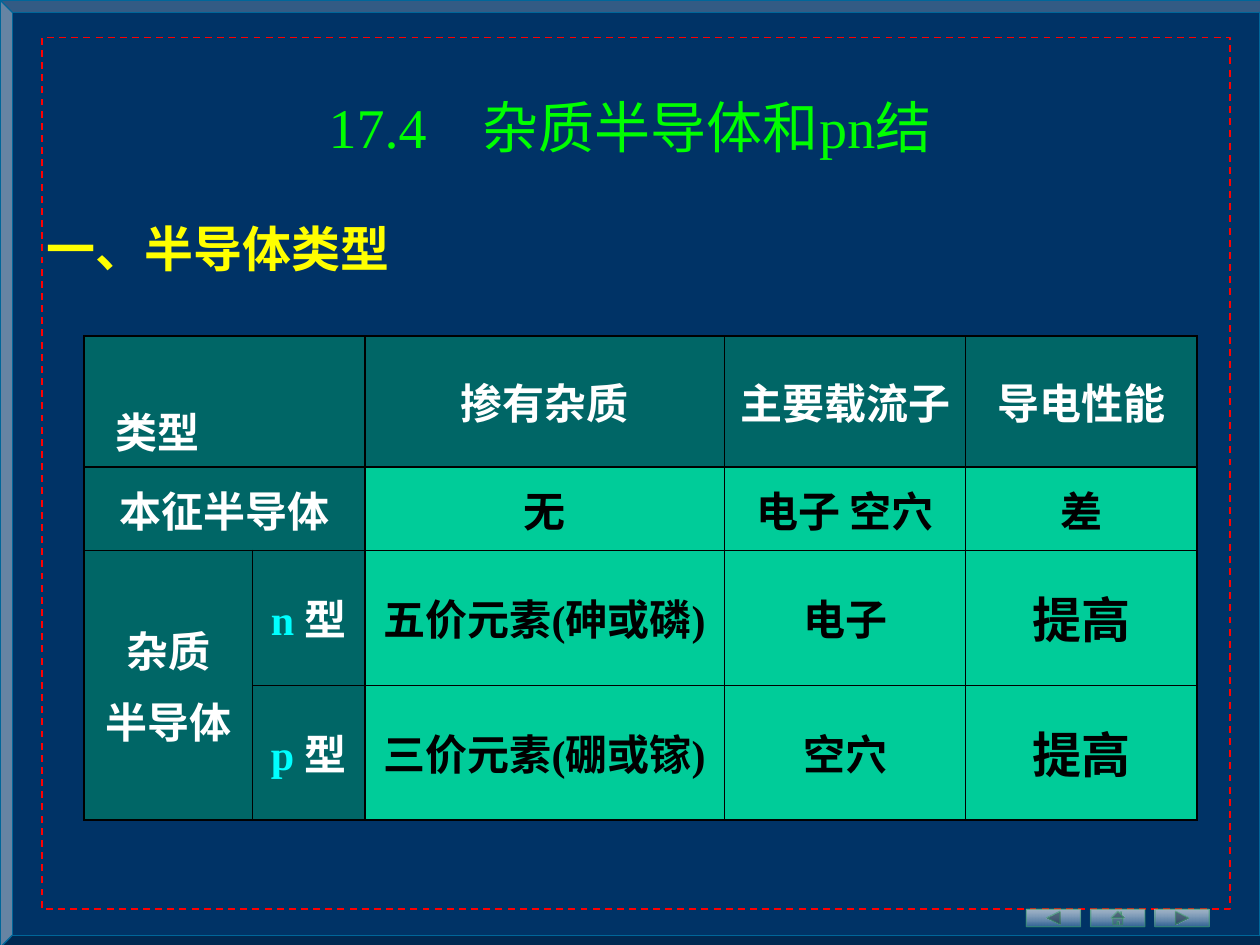
from lxml.etree import SubElement
from pptx import Presentation
from pptx.dml.color import RGBColor
from pptx.enum.dml import MSO_LINE
from pptx.enum.shapes import MSO_SHAPE
from pptx.enum.text import MSO_ANCHOR, MSO_AUTO_SIZE, PP_ALIGN
from pptx.oxml.ns import qn
from pptx.util import Pt

LATIN, CHINESE = "Times New Roman", "Noto Sans CJK SC"
NO_STYLE = "{2D5ABB26-0587-4C30-8999-92F81FD0307C}"
COLUMN_WIDTHS = [96.5, 64, 205.5, 138, 132]
ROW_HEIGHTS = [75, 47.5, 77, 77]
VERTICAL_LINES = [1.08, 0.45, 1.08, 0.75, 0.75, 1.08]
HORIZONTAL_LINES = [1.08, 1.08, 0.75, 0.45, 1.08]
MERGES = [((0, 0), (0, 1)), ((1, 0), (1, 1)), ((2, 0), (3, 0))]
ROWS = [
    ["类型", "", "掺有杂质", "主要载流子", "导电性能"],
    ["本征半导体", "", "无", "电子 空穴", "差"],
    ["杂质\n半导体", "n 型", "五价元素(砷或磷)", "电子", "提高"],
    ["", "p 型", "三价元素(硼或镓)", "空穴", "提高"],
]


def color(value):
    """Turn a hex string into a colour."""
    return RGBColor.from_string(value)


def points(*lengths):
    """Turn numbers into lengths in points."""
    return [Pt(length) for length in lengths]


def format_run(run, size, hex_color, bold=False):
    """Set the fonts, size, colour and weight of a run."""
    run.font.size = Pt(size)
    run.font.bold = bold
    run.font.color.rgb = color(hex_color)
    run.font.name = LATIN
    SubElement(run.font._element, qn("a:ea"), typeface=CHINESE)


def add_frame(slide, box, kind, fill, line, width):
    """Add a filled or hollow outline shape."""
    shape = slide.shapes.add_shape(kind, *points(*box))
    shape.shadow.inherit = False
    if fill:
        shape.fill.solid()
        shape.fill.fore_color.rgb = color(fill)
    else:
        shape.fill.background()
    shape.line.color.rgb = color(line)
    shape.line.width = Pt(width)
    return shape


def add_background(slide, box):
    """Add the bevelled panel and its dashed border."""
    left, top, width, height = box
    panel = add_frame(slide, box, MSO_SHAPE.BEVEL, "003366", "006699", 0.75)
    panel.adjustments[0] = 0.013
    border_box = (left + 24, top + 21.5, width - 48, height - 43.5)
    border = add_frame(slide, border_box, MSO_SHAPE.RECTANGLE, None, "FF0000", 1)
    border.line.dash_style = MSO_LINE.DASH


def add_navigation(slide, box):
    """Add the row of three translucent navigation buttons."""
    left, top, width, height = box
    button_width = 31
    step = (width - button_width) / 2
    kinds = [MSO_SHAPE.ACTION_BUTTON_BACK_OR_PREVIOUS,
             MSO_SHAPE.ACTION_BUTTON_HOME,
             MSO_SHAPE.ACTION_BUTTON_FORWARD_OR_NEXT]
    for index, kind in enumerate(kinds):
        button_box = (left + index * step, top, button_width, height)
        button = add_frame(slide, button_box, kind, None, "339966", 0)
        button.fill.gradient()
        button.fill.gradient_angle = 270
        for stop, value in zip(button.fill.gradient_stops, ("FFFFFF", "336699")):
            stop.color.rgb = color(value)
        for element, opacity in zip(button.element.iter(qn("a:srgbClr")), (62, 89, 52)):
            SubElement(element, qn("a:alpha"), val=str(opacity * 1000))


def add_title(slide, box):
    """Place the section title above the background."""
    title = slide.shapes.title
    title.left, title.top, title.width, title.height = points(*box)
    title.element.getparent().append(title.element)
    text_frame = title.text_frame
    text_frame.text = "17.4　杂质半导体和pn结"
    text_frame.auto_size = MSO_AUTO_SIZE.NONE
    text_frame.vertical_anchor = MSO_ANCHOR.MIDDLE
    paragraph = text_frame.paragraphs[0]
    paragraph.alignment = PP_ALIGN.CENTER
    format_run(paragraph.runs[0], 32, "00FF00")


def add_heading(slide, box):
    """Add the yellow subsection heading."""
    text_frame = slide.shapes.add_textbox(*points(*box)).text_frame
    text_frame.word_wrap = True
    text_frame.text = "一、半导体类型"
    format_run(text_frame.paragraphs[0].runs[0], 28, "FFFF00", True)


def set_borders(cell, row, column):
    """Draw the grid lines around a cell and its span."""
    widths = {
        "L": VERTICAL_LINES[column],
        "R": VERTICAL_LINES[column + cell.span_width],
        "T": HORIZONTAL_LINES[row],
        "B": HORIZONTAL_LINES[row + cell.span_height],
    }
    properties = cell._tc.get_or_add_tcPr()
    for side, width in widths.items():
        line = SubElement(properties, qn(f"a:ln{side}"), w=str(Pt(width)))
        SubElement(SubElement(line, qn("a:solidFill")), qn("a:srgbClr"), val="000000")


def write_cell(cell, text, row, column):
    """Write and format the text of a cell."""
    is_label = row == 0 or column < 2
    size = 28 if text == "提高" else 24
    cell.vertical_anchor = MSO_ANCHOR.MIDDLE
    cell.text = text
    for index, paragraph in enumerate(cell.text_frame.paragraphs):
        paragraph.alignment = PP_ALIGN.CENTER
        if index:
            paragraph.space_before = Pt(6)
        if text[0] in "np":
            paragraph.text = text[:2]
            paragraph.add_run().text = text[2:]
        for run in paragraph.runs:
            label_color = "00FFFF" if run.text in ("n ", "p ") else "FFFFFF"
            format_run(run, size, label_color if is_label else "000000", True)
    cell.fill.solid()
    cell.fill.fore_color.rgb = color("006666" if is_label else "00CC99")


def add_type_table(slide, box):
    """Add the table of semiconductor types."""
    frame = slide.shapes.add_table(len(ROWS), len(COLUMN_WIDTHS), *points(*box))
    frame.element.find(".//" + qn("a:tableStyleId")).text = NO_STYLE
    table = frame.table
    table.first_row = table.horz_banding = False
    for column, width in zip(table.columns, COLUMN_WIDTHS):
        column.width = Pt(width)
    for row, height in zip(table.rows, ROW_HEIGHTS):
        row.height = Pt(height)
    for start, end in MERGES:
        table.cell(*start).merge(table.cell(*end))
    for row, texts in enumerate(ROWS):
        for column, text in enumerate(texts):
            cell = table.cell(row, column)
            if not cell.is_spanned:
                if not cell.is_merge_origin:
                    assert text
                set_borders_for_cell = (cell, row, column)
                set_borders(*set_borders_for_cell)
                write_cell(cell, text, row, column)
    corner = table.cell(0, 0)
    corner.vertical_anchor = MSO_ANCHOR.BOTTOM
    corner.margin_left = Pt(18)
    corner.text_frame.paragraphs[0].alignment = PP_ALIGN.LEFT


def main():
    """Build the slide and save it."""
    presentation = Presentation()
    presentation.slide_width, presentation.slide_height = points(720, 540)
    slide = presentation.slides.add_slide(presentation.slide_layouts[5])
    add_background(slide, (0, 0, 727, 541.5))
    add_navigation(slide, (586.5, 519.5, 104.5, 10))
    add_type_table(slide, (48, 192, 636, 276.5))
    add_heading(slide, (19.5, 121.5, 222, 41))
    add_title(slide, (150, 49, 420, 46))
    presentation.save("out.pptx")


if __name__ == "__main__":
    main()
